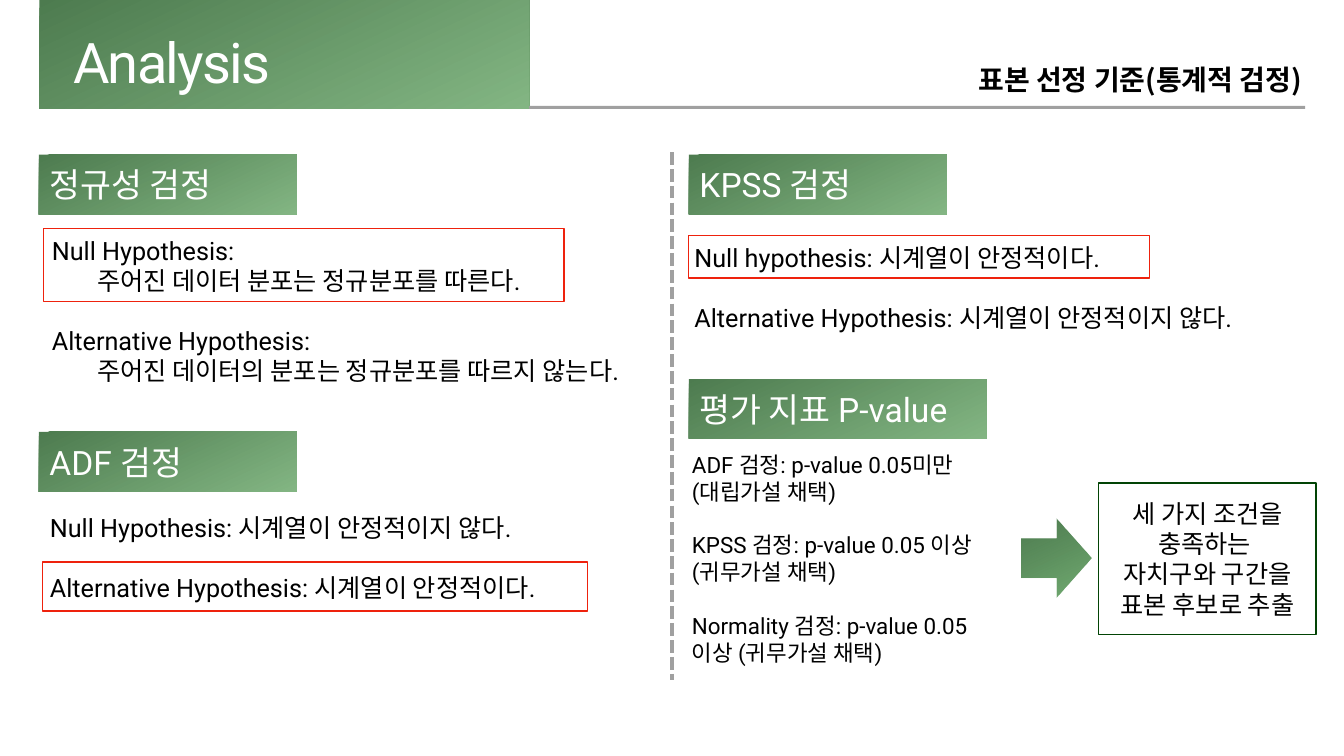
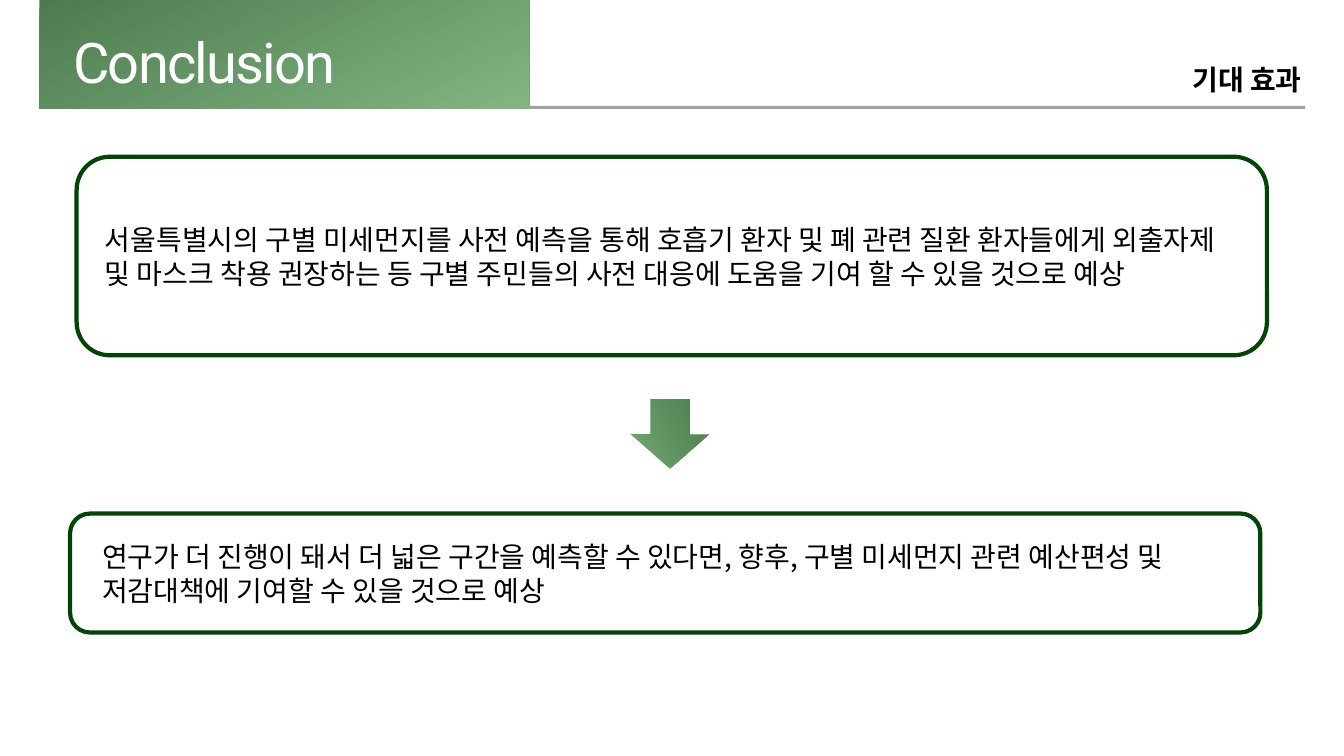
from lxml import etree
from pptx import Presentation
from pptx import util as u
from pptx.dml.color import RGBColor
from pptx.enum import dml, shapes, text
from pptx.oxml import ns

# The grid: 26.67 columns by 15 rows, one inch each
COLUMNS, ROWS = 26.67, 15
LEFT, RIGHT = 0.77, 13.67
HEADING_HEIGHT, HEADING_WIDTH = 1.18, 5.12
INSET = 0.06

WHITE = RGBColor(0xFF, 0xFF, 0xFF)
BLACK = RGBColor(0, 0, 0)
GREY = RGBColor(0xA0, 0xA0, 0xA0)
RED = RGBColor(0xEE, 0x22, 0x0D)
DARK_GREEN = RGBColor(0x02, 0x44, 0x05)
GREEN = RGBColor(0x4F, 0x97, 0x4F)
LATIN, KOREAN = "Roboto", "Noto Sans CJK KR"

RECT = shapes.MSO_SHAPE.RECTANGLE
ROUNDED = shapes.MSO_SHAPE.ROUNDED_RECTANGLE
ARROW = shapes.MSO_SHAPE.RIGHT_ARROW
ALIGN = text.PP_ALIGN

# Content: places are (column, row, width, height)
TITLES = [("Analysis", "표본 선정 기준(통계적 검정)"), ("Conclusion", "기대 효과")]

HEADINGS = [
    ("정규성 검정", LEFT, 3.07, HEADING_WIDTH),
    ("ADF 검정", LEFT, 8.57, HEADING_WIDTH),
    ("KPSS 검정", RIGHT, 3.07, HEADING_WIDTH),
    ("평가 지표 P-value", RIGHT, 7.52, 5.91),
]
# Each block is a list of groups, each group a list of lines
HYPOTHESES = [
    ((0.97, 4.59, 12.67, 3.14), 36, [
        ["Null Hypothesis:", "주어진 데이터 분포는 정규분포를 따른다."],
        ["Alternative Hypothesis:", "주어진 데이터의 분포는 정규분포를 따르지 않는다."]]),
    ((0.93, 10.1, 11.72, 1.93), 36, [
        ["Null Hypothesis: 시계열이 안정적이지 않다."],
        ["Alternative Hypothesis: 시계열이 안정적이다."]]),
    ((13.72, 4.73, 12.67, 1.93), 36, [
        ["Null hypothesis: 시계열이 안정적이다."],
        ["Alternative Hypothesis: 시계열이 안정적이지 않다."]]),
    ((RIGHT, 8.87, 6.39, 4.42), 32, [
        ["ADF 검정: p-value 0.05미만 (대립가설 채택)"],
        ["KPSS 검정: p-value 0.05 이상 (귀무가설 채택)"],
        ["Normality 검정: p-value 0.05이상 (귀무가설 채택)"]]),
]
ACCEPTED = [(0.86, 4.53, 10.33, 1.45), (0.84, 11.15, 10.82, 0.97),
            (13.66, 4.67, 9.15, 0.85)]
EXTRACTION = ["세 가지 조건을 충족하는 ", "자치구와 구간을 표본 후보로 추출"]

EFFECTS = [
    ((1.52, 3.11, 23.62, 3.94), 0.37,
     "서울특별시의 구별 미세먼지를 사전 예측을 통해 호흡기 환자 및 폐 관련 질환 "
     "환자들에게 외출자제 및 마스크 착용 권장하는 등 구별 주민들의 사전 대응에 "
     "도움을 기여 할 수 있을 것으로 예상"),
    ((1.39, 10.19, 23.62, 2.36), 0.52,
     "연구가 더 진행이 돼서 더 넓은 구간을 예측할 수 있다면, 향후, 구별 미세먼지 "
     "관련 예산편성 및 저감대책에 기여할 수 있을 것으로 예상"),
]


def place(at):
    return [u.Inches(length) for length in at]


def fill_gradient(shape, end_alpha=70):
    """Fill with the translucent green gradient shared by bands and arrows."""
    shape.fill.gradient()
    grad = shape.fill._xPr.find(ns.qn("a:gradFill"))
    for child in list(grad):
        grad.remove(child)
    grad.set("rotWithShape", "1")
    stops = etree.SubElement(grad, ns.qn("a:gsLst"))
    for position, colour, alpha in ((0, DARK_GREEN, 70), (100, GREEN, end_alpha)):
        stop = etree.SubElement(stops, ns.qn("a:gs"), pos=str(position * 1000))
        rgb = etree.SubElement(stop, ns.qn("a:srgbClr"), val=str(colour))
        etree.SubElement(rgb, ns.qn("a:alpha"), val=str(alpha * 1000))
    etree.SubElement(grad, ns.qn("a:lin"), ang=str(65 * 60000), scaled="0")


def add_shape(slide, kind, at, line=None, width=2.25):
    shape = slide.shapes.add_shape(kind, *place(at))
    shape.shadow.inherit = False
    shape.fill.background()
    if line is None:
        shape.line.fill.background()
    else:
        shape.line.color.rgb = line
        shape.line.width = u.Pt(width)
    return shape


def set_frame(shape, side=INSET, anchor=text.MSO_ANCHOR.MIDDLE):
    frame = shape.text_frame
    frame.word_wrap = True
    frame.auto_size = text.MSO_AUTO_SIZE.NONE
    frame.vertical_anchor = anchor
    frame.margin_left = frame.margin_right = u.Inches(side)
    frame.margin_top = frame.margin_bottom = u.Inches(INSET)
    return frame


def write(frame, words, size, colour=BLACK, font=LATIN, align=ALIGN.LEFT, bold=False):
    """Write one paragraph, using the empty first one if there is one."""
    paragraph = frame.paragraphs[0]
    if paragraph.runs:
        paragraph = frame.add_paragraph()
    paragraph.alignment = align
    run = paragraph.add_run()
    run.text = words
    run.font.size, run.font.bold, run.font.name = u.Pt(size), bold, font
    run.font.color.rgb = colour
    etree.SubElement(run._r.get_or_add_rPr(), ns.qn("a:ea"), typeface=KOREAN)
    return paragraph


def add_text_box(slide, at):
    return set_frame(slide.shapes.add_textbox(*place(at)))


def add_arrow(slide, at, rotation=0):
    arrow = add_shape(slide, ARROW, at)
    fill_gradient(arrow, end_alpha=80)
    arrow.rotation = rotation


def add_titled_slide(prs, title, subtitle):
    slide = prs.slides.add_slide(prs.slide_layouts[5])
    heading = slide.shapes.title
    heading.left, heading.top, heading.width, heading.height = place(
        (1.39, 0.23, 11.94, 1.71))
    frame = set_frame(heading, anchor=text.MSO_ANCHOR.BOTTOM)
    paragraph = write(frame, title, 80, WHITE)
    paragraph.line_spacing = 0.8
    paragraph.runs[0]._r.get_or_add_rPr().set("spc", "-250")
    write(add_text_box(slide, (14.84, 1.02, 11.05, 1.12)), subtitle, 40,
          font=KOREAN, align=ALIGN.RIGHT, bold=True)
    return slide


def move_band_to_layout(slide):
    """Draw the title band and rule once, on the layout that all slides use."""
    band = add_shape(slide, RECT, (0.78, 0, 9.72, 2.15))
    fill_gradient(band)
    rule = add_shape(slide, RECT, (10.5, 2.1, 15.4, 0.06))
    rule.fill.solid()
    rule.fill.fore_color.rgb = GREY
    for part in (rule, band):
        slide.slide_layout.shapes._spTree.insert(2, part._element)


def add_heading(slide, words, column, row, width):
    heading = add_shape(slide, RECT, (column, row, width, HEADING_HEIGHT))
    fill_gradient(heading)
    write(set_frame(heading, 0.21), words, 48, WHITE)


def add_hypotheses(slide, at, size, groups):
    frame = add_text_box(slide, at)
    for group_number, lines in enumerate(groups):
        for line_number, words in enumerate(lines):
            paragraph = write(frame, words, size)
            if line_number:
                paragraph._p.get_or_add_pPr().set("marL", str(u.Inches(0.9)))
            elif group_number:
                paragraph.space_before = u.Pt(size * 1.18)


def fill_analysis(slide):
    # Dashed divider in the middle of the slide
    divider = slide.shapes.add_connector(
        shapes.MSO_CONNECTOR.STRAIGHT,
        *place((COLUMNS / 2, 3.02, COLUMNS / 2, 13.5)))
    divider.line.color.rgb = GREY
    divider.line.width = u.Pt(6)
    divider.line.dash_style = dml.MSO_LINE.SQUARE_DOT
    etree.SubElement(divider._element.spPr, ns.qn("a:effectLst"))

    # Tests, with the accepted hypotheses framed
    for heading in HEADINGS:
        add_heading(slide, *heading)
    for block in HYPOTHESES:
        add_hypotheses(slide, *block)
    for at in ACCEPTED:
        add_shape(slide, RECT, at, RED)

    # Resulting extraction rule
    add_arrow(slide, (20.28, 10.29, 1.38, 1.57))
    extraction = add_shape(slide, RECT, (21.8, 9.58, 4.32, 3.01), DARK_GREEN)
    frame = set_frame(extraction, 0.13)
    for words in EXTRACTION:
        write(frame, words, 36, align=ALIGN.CENTER)


def fill_conclusion(slide):
    add_arrow(slide, (12.6, 7.83, 1.38, 1.57), rotation=90)
    for at, side, words in EFFECTS:
        effect = add_shape(slide, ROUNDED, at, DARK_GREEN, 6)
        write(set_frame(effect, side), words, 40, font=KOREAN)


def main():
    prs = Presentation()
    prs.slide_width, prs.slide_height = place((COLUMNS, ROWS))
    analysis, conclusion = [add_titled_slide(prs, *titles) for titles in TITLES]
    move_band_to_layout(analysis)
    fill_analysis(analysis)
    fill_conclusion(conclusion)
    prs.save("out.pptx")


if __name__ == "__main__":
    main()
